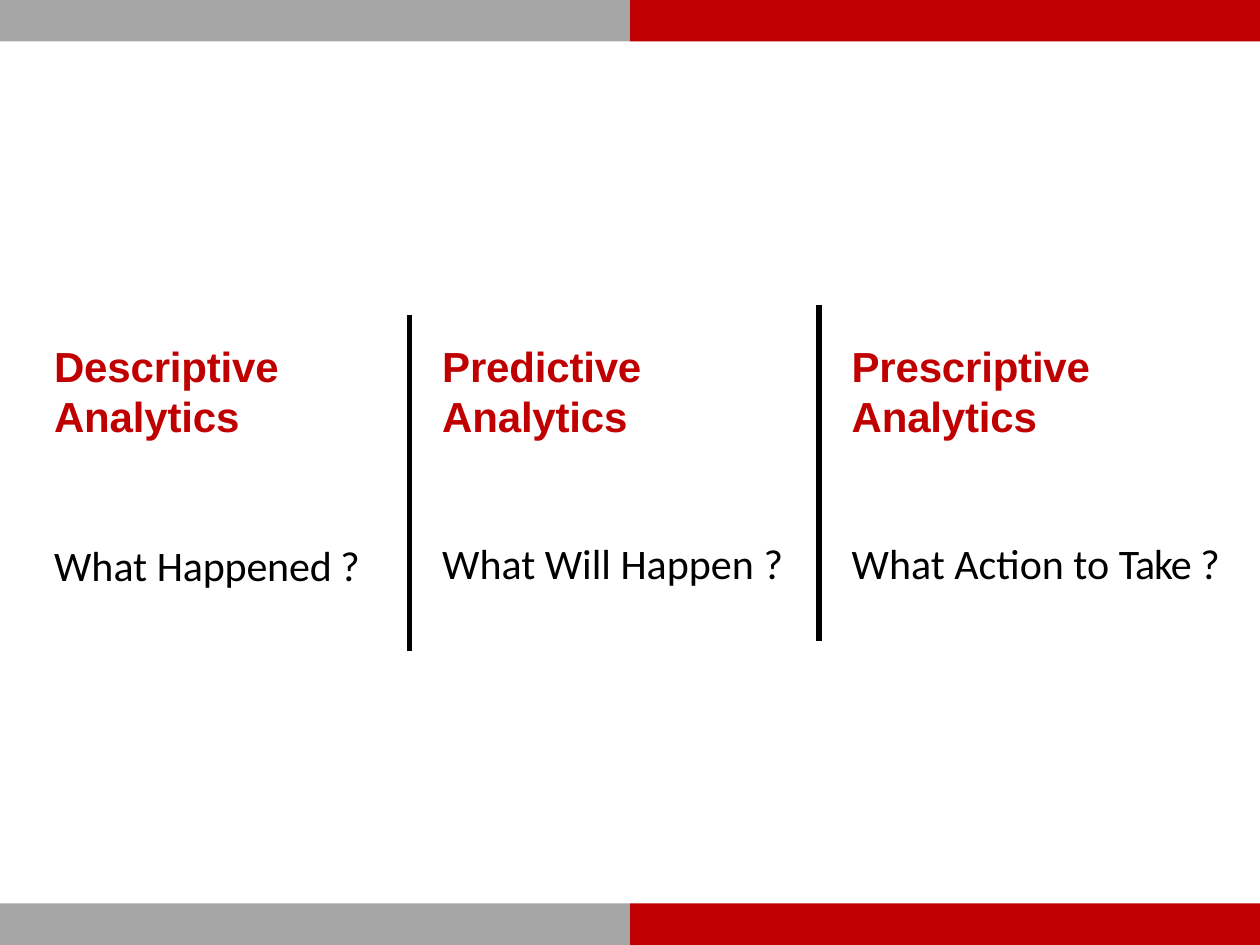
from lxml.etree import SubElement
from pptx import Presentation
from pptx.dml.color import RGBColor
from pptx.enum.shapes import MSO_CONNECTOR, MSO_SHAPE
from pptx.oxml.ns import qn
from pptx.util import Inches, Pt

COLORS = {"red": "C00000", "gray": "A6A6A6", "black": "000000"}
WIDTH, HEIGHT = 10, 7.5
BAND_HEIGHT = 0.33
DIVIDER_LENGTH = 2.67

# Left edge, heading word, heading width, question top, question width,
# question runs with their letter spacing in points
COLUMNS = [
    (0.42, "Descriptive", 1.83, 4.27, 2.47,
     [("What ", 0), ("Happened", -0.1), (" ?", -0.5)]),
    (3.5, "Predictive", 1.62, 4.26, 2.73,
     [("What Will Happen ", 0), ("?", -0.5)]),
    (6.75, "Prescriptive", 1.94, 4.26, 2.98,
     [("What Action to ", 0), ("Take", -0.6), (" ?", -0.5)]),
]


def add_text(left, top, width, height, lines, font_name, color, bold=False):
    """Add a text box; each line is a list of (text, letter spacing) runs."""
    frame = slide.shapes.add_textbox(
        Inches(left), Inches(top), Inches(width), Inches(height)).text_frame
    frame.word_wrap = True
    frame.margin_left = frame.margin_right = frame.margin_bottom = 0
    frame.margin_top = Inches(0.01)
    for index, runs in enumerate(lines):
        paragraph = frame.add_paragraph() if index else frame.paragraphs[0]
        paragraph.space_before = Pt(0.1 if index else 1)
        paragraph._p.get_or_add_pPr().set("marL", str(Inches(0.01)))
        for text, spacing in runs:
            run = paragraph.add_run()
            run.text = text
            run.font.name = font_name
            run.font.size = Pt(24)
            run.font.bold = bold
            run.font.color.rgb = RGBColor.from_string(COLORS[color])
            if spacing:
                run._r.get_or_add_rPr().set("spc", str(round(spacing * 100)))


presentation = Presentation()
presentation.slide_width = Inches(WIDTH)
presentation.slide_height = Inches(HEIGHT)
slide = presentation.slides.add_slide(presentation.slide_layouts[6])

# Two-colour bands along the top and bottom edges
for top in (0, HEIGHT - BAND_HEIGHT):
    for left, color in ((WIDTH / 2, "red"), (0, "gray")):
        band = slide.shapes.add_shape(
            MSO_SHAPE.RECTANGLE, Inches(left), Inches(top),
            Inches(WIDTH / 2), Inches(BAND_HEIGHT))
        band.shadow.inherit = False
        band.fill.solid()
        band.fill.fore_color.rgb = RGBColor.from_string(COLORS[color])
        band.line.fill.background()

# Dividers between the columns
for left, top in ((3.25, 2.5), (6.5, 2.42)):
    divider = slide.shapes.add_connector(
        MSO_CONNECTOR.STRAIGHT, Inches(left), Inches(top),
        Inches(left), Inches(top + DIVIDER_LENGTH))
    divider.line.color.rgb = RGBColor.from_string(COLORS["black"])
    divider.line.width = Pt(3)
    SubElement(divider._element.spPr, qn("a:effectLst"))

# Heading and question of each column
for left, kind, heading_width, question_top, question_width, question in COLUMNS:
    add_text(left, 2.69, heading_width, 0.83,
             [[(kind, -0.1)], [("Analytics", -0.1)]], "Arial", "red", bold=True)
    add_text(left, question_top, question_width, 0.43,
             [question], "Calibri", "black")

presentation.save("out.pptx")
